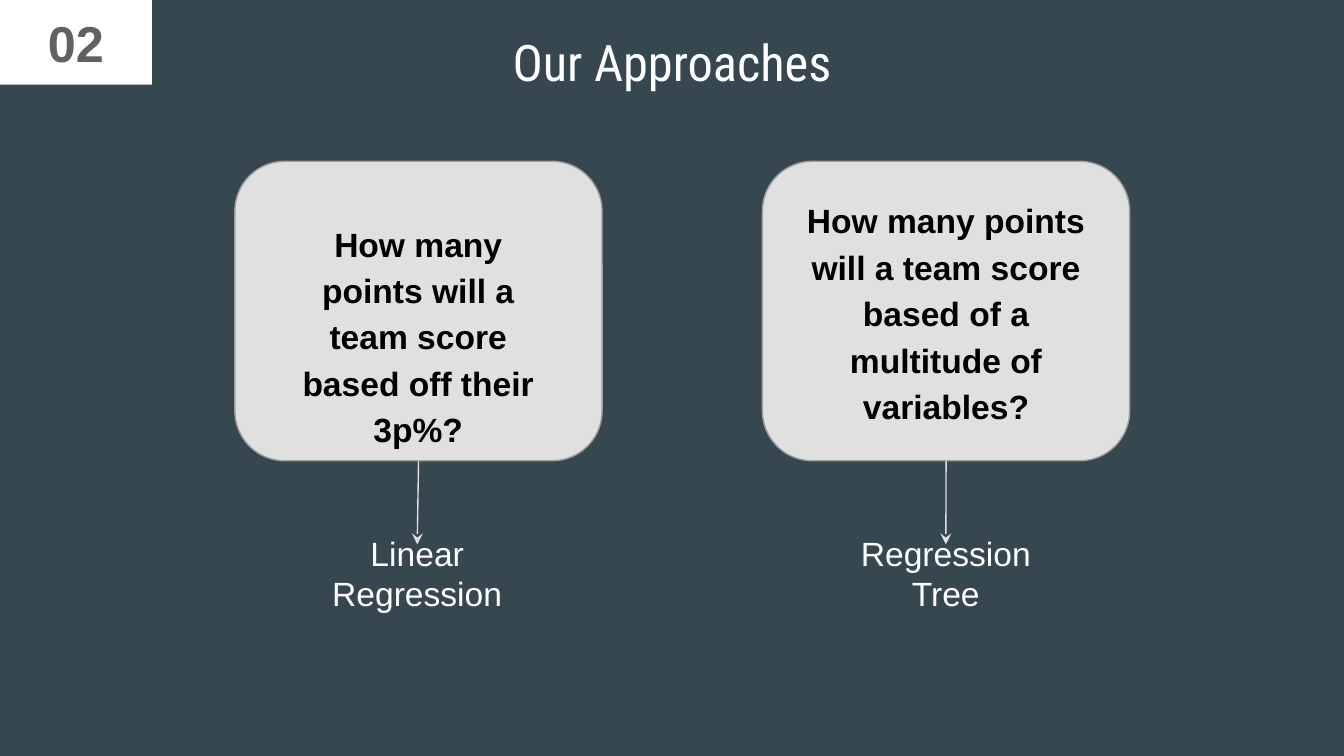
from dataclasses import dataclass

from pptx import Presentation
from pptx.dml.color import RGBColor as RGB
from pptx.enum.shapes import MSO_CONNECTOR as CONN, MSO_SHAPE as SHAPE
from pptx.enum.text import MSO_ANCHOR as ANCHOR, PP_ALIGN as ALIGN
from pptx.oxml.ns import qn
from pptx.util import Cm, Pt
from lxml import etree


@dataclass(frozen=True)
class Theme:
    background: RGB = RGB.from_string("37474F")
    card: RGB = RGB.from_string("E0E0E0")
    border: RGB = RGB.from_string("9E9E9E")
    number: RGB = RGB.from_string("616161")
    light: RGB = RGB.from_string("FFFFFF")
    dark: RGB = RGB.from_string("000000")
    heading_font: str = "Roboto Condensed"
    body_font: str = "Arial"
    heading_size: int = 27
    body_size: int = 18
    line_width: float = 0.75
    inset: float = 0.25


def write(s, text, font, size, color, bold=False, anchor=ANCHOR.MIDDLE,
          spacing=None, after=None, inset=0.25):
    tf = s.text_frame
    tf.word_wrap = True
    tf.vertical_anchor = anchor
    tf.margin_left = tf.margin_right = Cm(inset)
    tf.margin_top = tf.margin_bottom = Cm(inset)
    p = tf.paragraphs[0]
    p.alignment = ALIGN.CENTER
    if spacing:
        p.line_spacing = spacing
    if after:
        p.space_after = Pt(after)
    r = p.add_run()
    r.text = text
    r.font.name, r.font.size, r.font.bold = font, Pt(size), bold
    r.font.color.rgb = color


class SlideBuilder:
    def __init__(self, slide, theme):
        self.slide, self.theme = slide, theme
        slide.background.fill.solid()
        slide.background.fill.fore_color.rgb = theme.background

    def text(self, text, box, **fmt):
        t = self.theme
        s = self.slide.shapes.add_textbox(*map(Cm, box))
        style = dict(font=t.body_font, size=t.body_size, color=t.light, inset=t.inset)
        write(s, text, **{**style, **fmt})
        return s

    def shape(self, kind, box, fill, line=None):
        s = self.slide.shapes.add_shape(kind, *map(Cm, box))
        s.shadow.inherit = False
        s.fill.solid()
        s.fill.fore_color.rgb = fill
        if line is None:
            s.line.fill.background()
        else:
            s.line.color.rgb = line
            s.line.width = Pt(self.theme.line_width)
        return s

    def arrow(self, upper, lower):
        c = self.slide.shapes.add_connector(CONN.STRAIGHT, 0, 0, 0, 0)
        c.begin_connect(upper, 2)
        c.end_connect(lower, 0)
        c.line.color.rgb = self.theme.card
        c.line.width = Pt(self.theme.line_width)
        etree.SubElement(c.line._get_or_add_ln(), qn("a:tailEnd"), type="stealth")
        etree.SubElement(c._element.spPr, qn("a:effectLst"))

    def approach(self, card_left, question, question_box, anchor, answer, answer_box):
        t = self.theme
        card = self.shape(SHAPE.FLOWCHART_ALTERNATE_PROCESS,
                          (card_left, 3.05, 6.94, 5.66), t.card, t.border)
        self.text(question, question_box, color=t.dark, bold=True,
                  anchor=anchor, spacing=1.15, after=12)
        label = self.text(answer, answer_box)
        self.arrow(card, label)


def main():
    prs = Presentation()
    prs.slide_width, prs.slide_height = Cm(25.4), Cm(14.29)
    theme = Theme()
    b = SlideBuilder(prs.slides.add_slide(prs.slide_layouts[6]), theme)

    # Title
    b.text("Our Approaches", (0, 0.36, 25.4, 1.6),
           font=theme.heading_font, size=theme.heading_size)

    # Questions and the method that answers each
    b.approach(4.44, "How many points will a team score based off their 3p%?",
               (5.11, 3.86, 5.59, 4.04), ANCHOR.TOP,
               "Linear Regression", (5.18, 10.29, 5.41, 1.09))
    b.approach(14.41, "How many points will a team score based of a multitude of variables?",
               (14.83, 3.4, 6.1, 4.93), ANCHOR.MIDDLE,
               "Regression Tree", (15.46, 10.29, 4.83, 1.09))

    # Section number
    tag = b.shape(SHAPE.RECTANGLE, (0, 0, 2.87, 1.6), theme.light)
    write(tag, "02", theme.body_font, theme.heading_size, theme.number,
          bold=True, inset=theme.inset)

    prs.save("out.pptx")


if __name__ == "__main__":
    main()
